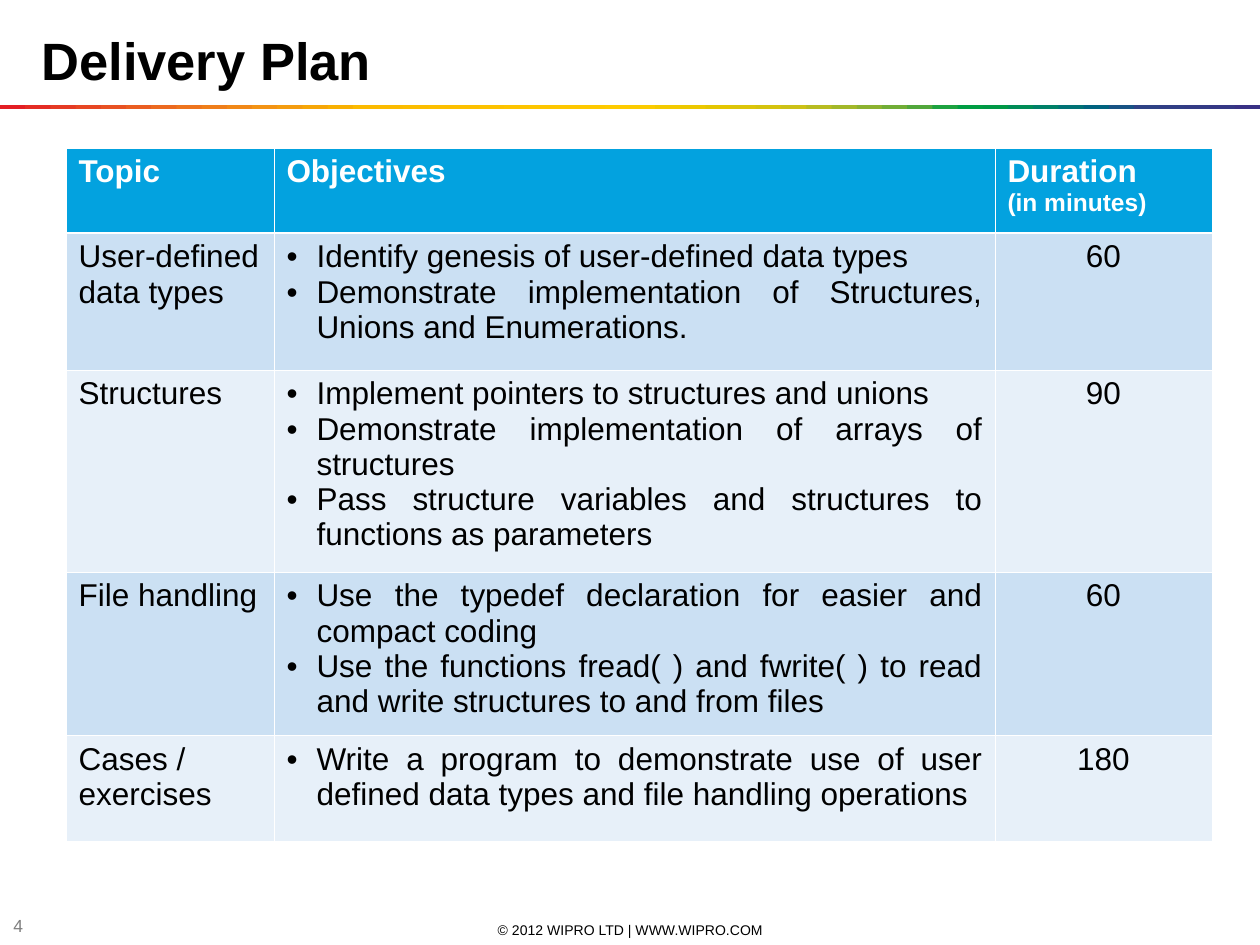
from lxml.etree import SubElement
from pptx import Presentation
from pptx.dml.color import RGBColor
from pptx.enum.shapes import MSO_SHAPE
from pptx.enum.text import MSO_ANCHOR, PP_ALIGN
from pptx.oxml.ns import qn
from pptx.util import Pt

PX = 914400 // 126
PAGE_WIDTH, PAGE_HEIGHT = 1260, 945
COLORS = {
    "black": "000000",
    "white": "FFFFFF",
    "gray": "7F7F7F",
    "header": "03A2DF",
    "odd_row": "CBE0F3",
    "even_row": "E7F0F9",
}
STRIPE = """
E31E24 E42C24 E53A24 E74623 E85122 EA5D21 EC691F EE741D EF7E1A F18817
F39314 F49C0F F6A607 F8B002 FBBA00 FBBB00 FBBD00 FCBF00 FCC000 FCC200
FDC400 FDC600 FDC700 FEC900 FECB00 FBCB00 F3CA00 ECC800 E4C602 DCC50A
D5C30E CCC117 B8BC21 A3B829 8CB230 71AD36 51A73B 1DA240 009D43 009846
008C57 008068 007275 00637F 185384 2E4285 313E85 333B85 353885 393185
""".split()
STRIPE_TOP, STRIPE_HEIGHT = 105, 4

TITLE = "Delivery Plan"
COPYRIGHT = "© 2012 WIPRO LTD | WWW.WIPRO.COM"
PAGE_NUMBER = "4"
HEADERS = [[("Topic", 18)], [("Objectives", 18)], [("Duration", 18), ("(in minutes)", 14)]]
TOPICS = [
    ("User-defined data types", [
        "Identify genesis of user-defined data types",
        "Demonstrate implementation of Structures, Unions and Enumerations.",
    ], "60"),
    ("Structures", [
        "Implement pointers to structures and unions",
        "Demonstrate implementation of arrays of structures",
        "Pass structure variables and structures to functions as parameters",
    ], "90"),
    ("File handling", [
        "Use the typedef declaration for easier and compact coding",
        "Use the functions fread( ) and fwrite( ) to read and write structures to and from files",
    ], "60"),
    ("Cases / exercises", [
        "Write a program to demonstrate use of user defined data types and file handling operations",
    ], "180"),
]
TABLE_LEFT, TABLE_TOP = 66, 148
COLUMN_WIDTHS = [208, 721, 217]
ROW_HEIGHTS = [85, 137, 202, 164, 106]
BULLET_INDENT = 30
THIN, THICK = 0.45, 1.47


def px(*lengths):
    return [round(length * PX) for length in lengths]


def add_text(frame, text, size=18, color="black", bold=False, align=PP_ALIGN.LEFT, bullet=False):
    para = frame.paragraphs[0]
    if para.runs:
        para = frame.add_paragraph()
    para.alignment = align
    if bullet:
        properties = para._p.get_or_add_pPr()
        properties.set("marL", str(BULLET_INDENT * PX))
        properties.set("indent", str(-BULLET_INDENT * PX))
        bullet_color = SubElement(properties, qn("a:buClr"))
        SubElement(bullet_color, qn("a:srgbClr"), val=COLORS["black"])
        SubElement(properties, qn("a:buFont"), typeface="Arial")
        SubElement(properties, qn("a:buChar"), char="•")
    span = para.add_run()
    span.text = text
    span.font.name = "Arial"
    span.font.size = Pt(size)
    span.font.bold = bold
    span.font.color.rgb = RGBColor.from_string(COLORS[color])


def add_box(page, bounds, text, anchor=MSO_ANCHOR.MIDDLE, **text_format):
    box = page.shapes.add_textbox(*px(*bounds))
    box.text_frame.word_wrap = True
    box.text_frame.vertical_anchor = anchor
    add_text(box.text_frame, text, **text_format)


def add_stripe(page):
    group = page.shapes.add_group_shape()
    step = PAGE_WIDTH / len(STRIPE)
    for index, color in enumerate(STRIPE):
        left = index * step
        width = min(2 * step, PAGE_WIDTH - left)
        band = group.shapes.add_shape(MSO_SHAPE.RECTANGLE, *px(left, STRIPE_TOP, width, STRIPE_HEIGHT))
        band.shadow.inherit = False
        band.fill.solid()
        band.fill.fore_color.rgb = RGBColor.from_string(color)
        band.line.fill.background()


def style_cell(cell, color, top, bottom):
    properties = cell._tc.get_or_add_tcPr()
    for side, width in (("L", THIN), ("R", THIN), ("T", top), ("B", bottom)):
        border = SubElement(properties, qn(f"a:ln{side}"), w=str(Pt(width)))
        fill = SubElement(border, qn("a:solidFill"))
        SubElement(fill, qn("a:srgbClr"), val=COLORS["white"])
    cell.fill.solid()
    cell.fill.fore_color.rgb = RGBColor.from_string(COLORS[color])


def add_plan(page):
    bounds = px(TABLE_LEFT, TABLE_TOP, sum(COLUMN_WIDTHS), sum(ROW_HEIGHTS))
    table = page.shapes.add_table(len(ROW_HEIGHTS), len(COLUMN_WIDTHS), *bounds).table
    for column, width in zip(table.columns, px(*COLUMN_WIDTHS)):
        column.width = width
    for index, (row, height) in enumerate(zip(table.rows, px(*ROW_HEIGHTS))):
        row.height = height
        color = "header" if index == 0 else "odd_row" if index % 2 else "even_row"
        for cell in row.cells:
            style_cell(cell, color, THICK if index == 1 else THIN, THICK if index == 0 else THIN)
    for column, lines in enumerate(HEADERS):
        for text, size in lines:
            add_text(table.cell(0, column).text_frame, text, size=size, color="white", bold=True)
    for index, (topic, objectives, minutes) in enumerate(TOPICS, 1):
        add_text(table.cell(index, 0).text_frame, topic)
        for objective in objectives:
            add_text(table.cell(index, 1).text_frame, objective, align=PP_ALIGN.JUSTIFY, bullet=True)
        add_text(table.cell(index, 2).text_frame, minutes, align=PP_ALIGN.CENTER)


def main():
    deck = Presentation()
    deck.slide_width, deck.slide_height = px(PAGE_WIDTH, PAGE_HEIGHT)
    page = deck.slides.add_slide(deck.slide_layouts[6])
    add_box(page, (431, 920, 399, 20), COPYRIGHT, size=8, align=PP_ALIGN.CENTER)
    add_box(page, (1, 916, 49, 20), PAGE_NUMBER, size=10, color="gray")
    add_stripe(page)
    add_plan(page)
    add_box(page, (29, 20, 1168, 77), TITLE, anchor=MSO_ANCHOR.BOTTOM, size=30, bold=True)
    deck.save("out.pptx")


if __name__ == "__main__":
    main()
